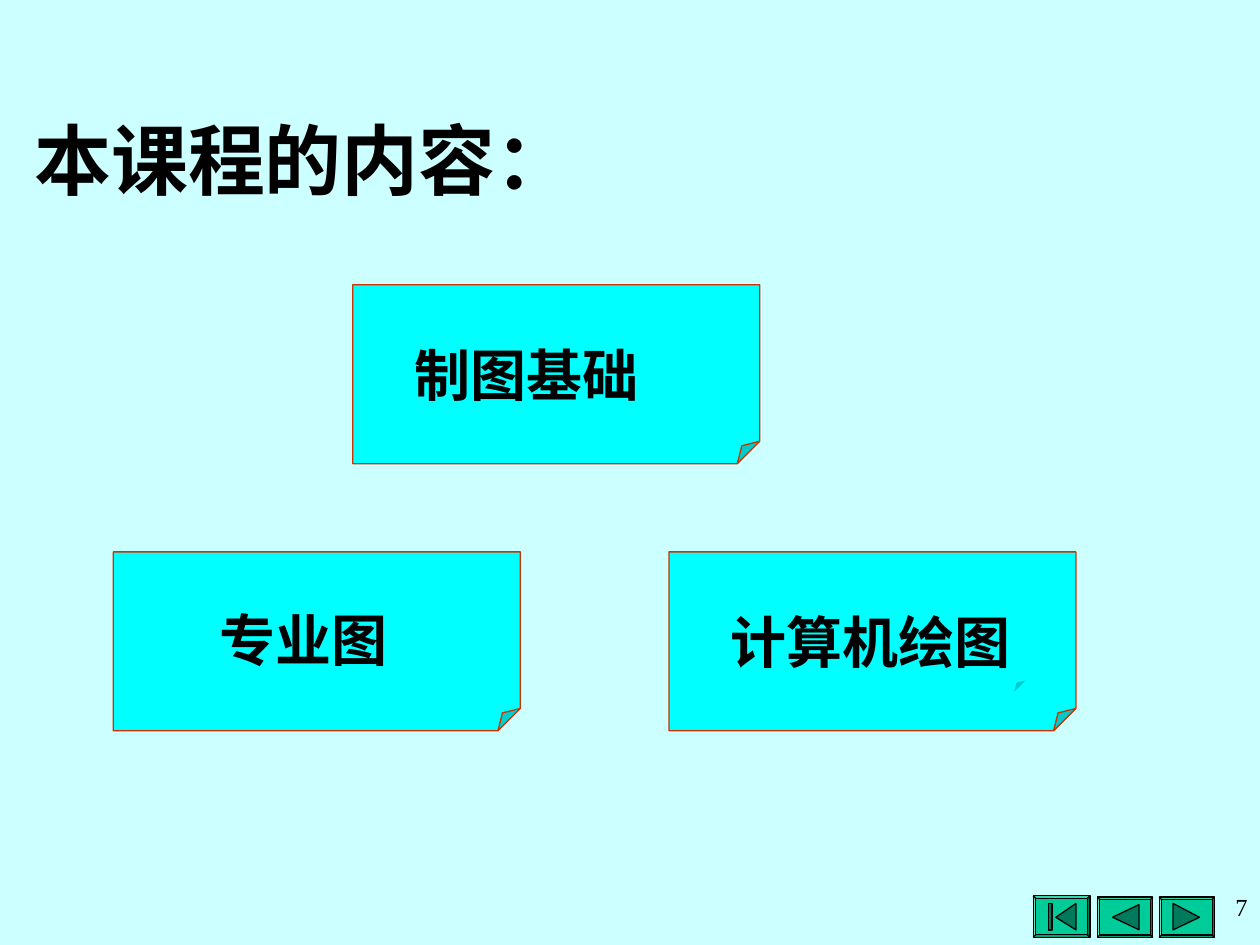
from pptx import Presentation
from pptx.dml.color import RGBColor
from pptx.enum import shapes, text
from pptx.oxml import ns
from pptx.util import Inches, Pt
from lxml import etree

PALE_CYAN = RGBColor(0xCC, 0xFF, 0xFF)
CYAN = RGBColor(0x00, 0xFF, 0xFF)
RUST = RGBColor(0xCC, 0x33, 0x00)
GREEN = RGBColor(0x00, 0xCC, 0x99)
DARK_GREEN = RGBColor(0x00, 0x7A, 0x5C)
BLACK = RGBColor(0, 0, 0)


def write_text(shape, words, size, font, bold=False, align=text.PP_ALIGN.LEFT, indent=0.1):
    frame = shape.text_frame
    frame.word_wrap = True
    frame.auto_size = text.MSO_AUTO_SIZE.NONE
    frame.vertical_anchor = text.MSO_ANCHOR.TOP
    frame.margin_left, frame.margin_right = Inches(indent), Inches(0.1)
    frame.margin_top = frame.margin_bottom = Inches(0.05)
    paragraph = frame.paragraphs[0]
    paragraph.alignment = align
    run = paragraph.add_run()
    run.text = words
    run.font.size, run.font.bold, run.font.name = Pt(size), bold, font
    run.font.color.rgb = BLACK
    east_asian = etree.SubElement(run.font._element, ns.qn("a:ea"))
    east_asian.set("typeface", font)


def paint(shape, fill=None, line=None):
    """Set fill and outline; None leaves that part empty."""
    shape.shadow.inherit = False
    for part, colour in ((shape.fill, fill), (shape.line.fill, line)):
        if colour is None:
            part.background()
        else:
            part.solid()
            part.fore_color.rgb = colour
    if line is not None:
        shape.line.width = Pt(0.75)


presentation = Presentation()
presentation.slide_width, presentation.slide_height = Inches(10), Inches(7.5)
slide = presentation.slides.add_slide(presentation.slide_layouts[5])
slide.background.fill.solid()
slide.background.fill.fore_color.rgb = PALE_CYAN

title = slide.shapes.title
title.left, title.top, title.width, title.height = Inches(0), Inches(0.84), Inches(10), Inches(1.22)
write_text(title, "本课程的内容：", 44, "Noto Sans CJK SC", bold=True, indent=0.27)

# Navigation buttons: left, top, width, height, then the symbol's outlines
buttons = [
    (9.2, 7.12, 0.44, 0.32, [[(9.31, 7.17), (9.52, 7.28), (9.31, 7.38)]]),
    (8.71, 7.12, 0.44, 0.32, [[(8.83, 7.28), (9.04, 7.18), (9.04, 7.38)]]),
    (8.2, 7.11, 0.45, 0.33, [[(8.38, 7.28), (8.54, 7.17), (8.54, 7.38)],
                             [(8.32, 7.17), (8.35, 7.17), (8.35, 7.38), (8.32, 7.38)]]),
]
for left, top, width, height, symbol in buttons:
    button = slide.shapes.add_shape(shapes.MSO_SHAPE.BEVEL, Inches(left), Inches(top),
                                    Inches(width), Inches(height))
    button.adjustments[0] = 0.06
    paint(button, GREEN, BLACK)
    for outline in symbol:
        points = [(Inches(x), Inches(y)) for x, y in outline]
        builder = slide.shapes.build_freeform(*points[0])
        builder.add_line_segments(points[1:], close=True)
        paint(builder.convert_to_shape(), DARK_GREEN, BLACK)

# Topic cards: card left and top, label left, top and width, label fill
topics = [
    ("制图基础", 2.8, 2.26, 3.19, 2.65, 2.28, None),
    ("专业图", 0.9, 4.38, 1.64, 4.76, 2.2, None),
    ("计算机绘图", 5.31, 4.38, 5.7, 4.77, 2.44, CYAN),
]
for words, left, top, label_left, label_top, label_width, label_fill in topics:
    group = slide.shapes.add_group_shape()
    card = group.shapes.add_shape(shapes.MSO_SHAPE.FOLDED_CORNER, Inches(left), Inches(top),
                                  Inches(3.23), Inches(1.42))
    label = group.shapes.add_shape(shapes.MSO_SHAPE.FOLDED_CORNER, Inches(label_left),
                                   Inches(label_top), Inches(label_width), Inches(0.72))
    # The library lists no adjustment for this preset, so the fold size goes in as XML
    for folded in (card, label):
        adjustments = folded._element.find(".//" + ns.qn("a:avLst"))
        fold = etree.SubElement(adjustments, ns.qn("a:gd"))
        fold.set("name", "adj")
        fold.set("fmla", "val 12500")
    paint(card, CYAN, RUST)
    paint(label, label_fill)
    write_text(label, words, 32, "DejaVu Sans", bold=True)

page_number = slide.shapes.add_textbox(Inches(7.48), Inches(7.03), Inches(2.52), Inches(0.61))
write_text(page_number, "7", 14, "Times New Roman", align=text.PP_ALIGN.RIGHT)

presentation.save("out.pptx")
